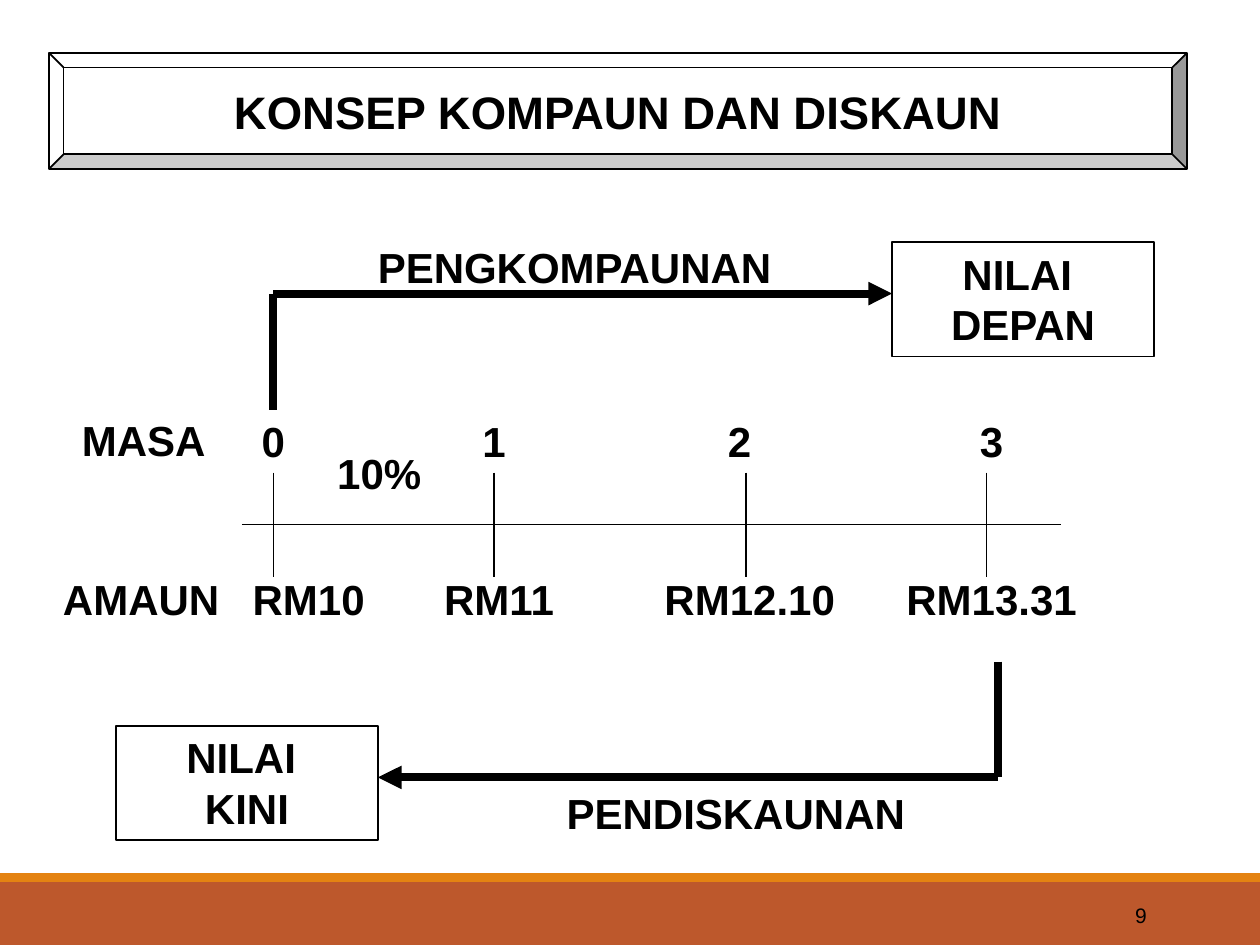
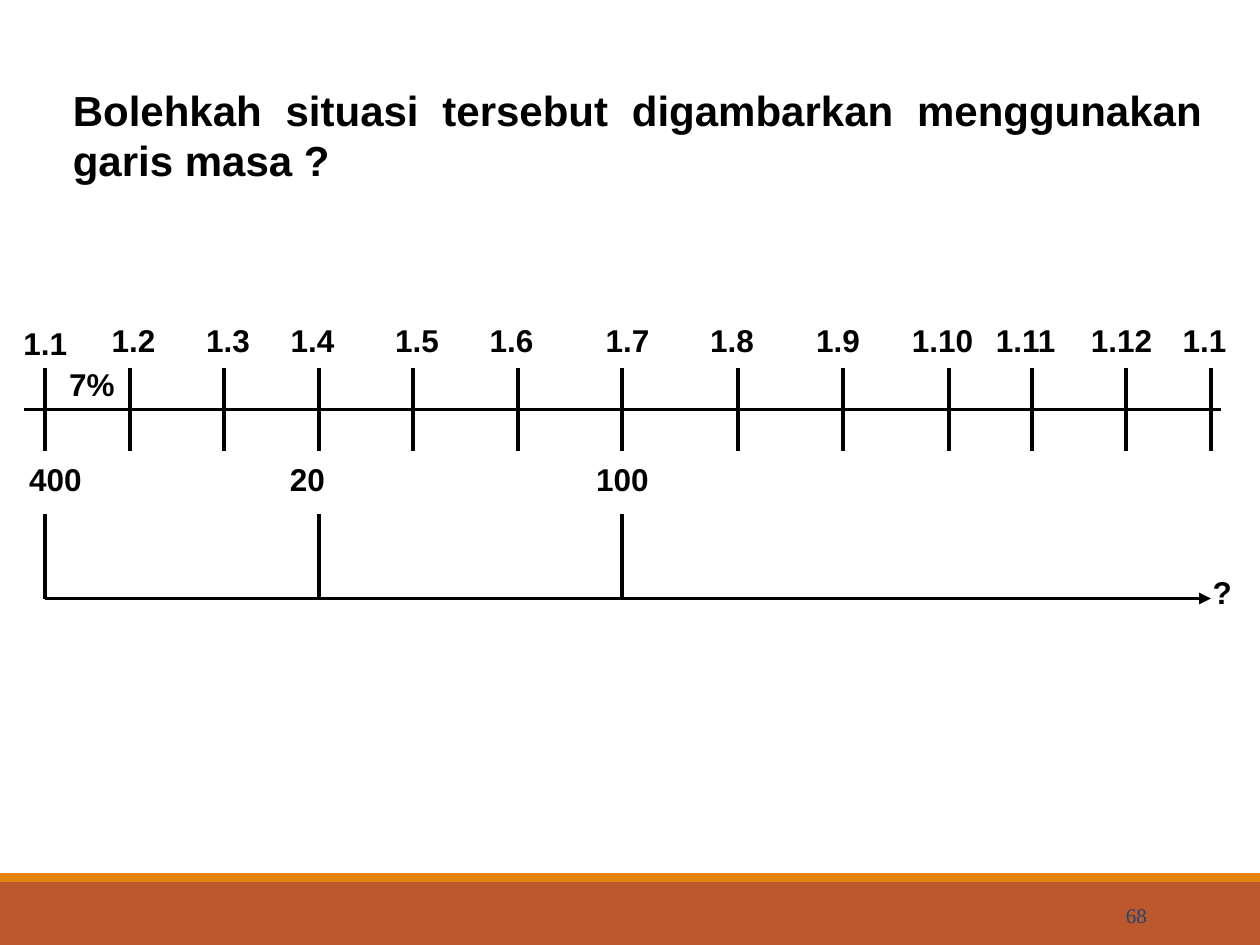
from lxml.etree import SubElement
from pptx import Presentation
from pptx.dml.color import RGBColor
from pptx.enum.shapes import MSO_CONNECTOR, MSO_SHAPE
from pptx.enum.text import MSO_ANCHOR, PP_ALIGN
from pptx.oxml.ns import qn
from pptx.util import Inches, Pt

COLORS = {"ink": "000000", "paper": "FFFFFF", "band": "BD582C",
          "stripe": "E48312", "navy": "1D4577"}
FONT = "Arial"


def rgb(name):
    return RGBColor.from_string(COLORS[name])


def write(shape, text, size, align=PP_ALIGN.CENTER, anchor=MSO_ANCHOR.TOP,
          bold=True, font=FONT, color="ink"):
    tf = shape.text_frame
    tf.text = text
    tf.vertical_anchor = anchor
    for p in tf.paragraphs:
        p.alignment = align
        for r in p.runs:
            r.font.size, r.font.bold, r.font.name = Pt(size), bold, font
            r.font.color.rgb = rgb(color)


def add_box(s, x, y, w, h, fill, outlined=False, kind=MSO_SHAPE.RECTANGLE):
    sp = s.shapes.add_shape(kind, Inches(x), Inches(y), Inches(w), Inches(h))
    sp.shadow.inherit = False
    sp.fill.solid()
    sp.fill.fore_color.rgb = rgb(fill)
    if outlined:
        sp.line.color.rgb = rgb("ink")
        sp.line.width = Pt(1)
    else:
        sp.line.fill.background()
    return sp


def add_text(s, text, x, y, w, h, size, wrap=False, **style):
    sp = s.shapes.add_textbox(Inches(x), Inches(y), Inches(w), Inches(h))
    write(sp, text, size, **style)
    sp.text_frame.word_wrap = wrap


def add_label(s, text, center, y, w, size):
    """One line of text centred on a horizontal position."""
    add_text(s, text, center - w / 2, y, w, size / 60 + 0.1, size)


def add_line(s, x1, y1, x2, y2, width, arrow=False):
    c = s.shapes.add_connector(MSO_CONNECTOR.STRAIGHT, Inches(x1), Inches(y1),
                               Inches(x2), Inches(y2))
    c.line.color.rgb = rgb("ink")
    c.line.width = Pt(width)
    props = c._element.spPr
    if arrow:
        SubElement(props.find(qn("a:ln")), qn("a:tailEnd"), type="triangle")
    SubElement(props, qn("a:effectLst"))


def add_axis(s, x, y, w, h, ticks, width):
    """Horizontal axis through the middle of the box, ticks over its height."""
    add_line(s, x, y + h / 2, x + w, y + h / 2, width)
    for tick in ticks:
        add_line(s, x + tick, y, x + tick, y + h, width)


def add_elbow(s, x, start_y, end_x, y):
    """Thick vertical stroke that turns into a horizontal arrow."""
    add_line(s, x, start_y, x, y, 4.5)
    add_line(s, x, y, end_x, y, 4.5, arrow=True)


def base_slide(prs, number, font=FONT, color="ink"):
    s = prs.slides.add_slide(prs.slide_layouts[6])
    add_box(s, 0, 7, 10, 0.5, "band")
    add_box(s, 0, 6.93, 10, 0.07, "stripe")
    add_text(s, number, 8.12, 7.06, 1.08, 0.4, 12, wrap=True, bold=False,
             align=PP_ALIGN.RIGHT, anchor=MSO_ANCHOR.MIDDLE, font=font, color=color)
    return s


def value_box(s, x, y, text):
    write(add_box(s, x, y, 2.08, 0.91, "paper", outlined=True), text, 24)


def amount_timeline(s, x, y):
    # tick, period, centre of period, amount, centre and width of amount
    periods = [(0.25, "0", 0.25, "RM10", 0.53, 1.1),
               (2, "1", 2, "RM11", 2.04, 1.08),
               (4, "2", 3.95, "RM12.10", 4.03, 1.57),
               (5.91, "3", 5.95, "RM13.31", 5.95, 1.57)]
    add_axis(s, x, y, 6.5, 0.83, [period[0] for period in periods], 0.75)
    add_label(s, "MASA", x - 0.78, y - 0.51, 1.19, 24)
    add_label(s, "AMAUN", x - 0.8, y + 0.75, 1.46, 24)
    add_label(s, "10%", x + 1.09, y - 0.25, 0.88, 24)
    for _, period, period_x, amount, amount_x, w in periods:
        add_label(s, period, x + period_x, y - 0.5, 0.39, 24)
        add_label(s, amount, x + amount_x, y + 0.75, w, 24)


def month_timeline(s, x, y):
    # tick and label centre of the first day of each month
    months = [(0.17, 0.17), (0.84, 0.87), (1.59, 1.62), (2.34, 2.29),
              (3.09, 3.12), (3.92, 3.87), (4.75, 4.79), (5.67, 5.62),
              (6.5, 6.46), (7.34, 7.29), (8, 7.95), (8.75, 8.71), (9.42, 9.37)]
    ticks = [tick for tick, _ in months]
    add_axis(s, x, y, 9.5, 0.66, ticks, 2.25)
    for i, (_, center) in enumerate(months):
        month = f"1.{i % 12 + 1}"
        drop = 0.4 if i == 0 else 0.42
        add_label(s, month, x + center, y - drop, 0.55 if len(month) == 3 else 0.69, 18)
    add_label(s, "7%", x + 0.54, y - 0.07, 0.57, 18)

    # Deposits carried to the end of the year
    base = y + 1.83
    for i, amount, center, w in [(0, "400", 0.25, 0.62), (3, "20", 2.25, 0.48),
                                 (6, "100", 4.75, 0.62)]:
        add_label(s, amount, x + center, y + 0.68, w, 18)
        add_line(s, x + ticks[i], y + 1.16, x + ticks[i], base, 2.25)
    add_line(s, x + ticks[0], base, x + ticks[-1], base, 2.25, arrow=True)
    add_label(s, "?", x + 9.51, y + 1.58, 0.36, 18)


def concept_slide(prs):
    s = base_slide(prs, "9")
    # Title plate
    title = add_box(s, 0.39, 0.42, 9.03, 0.92, "paper", True, MSO_SHAPE.BEVEL)
    write(title, "KONSEP KOMPAUN DAN DISKAUN", 26, anchor=MSO_ANCHOR.MIDDLE)

    amount_timeline(s, 1.92, 3.75)
    # Compounding above, discounting below
    value_box(s, 7.08, 1.92, "NILAI \nDEPAN")
    value_box(s, 0.92, 5.76, "NILAI \nKINI")
    add_elbow(s, 7.92, 5.25, 3, 6.17)
    add_elbow(s, 2.17, 3.25, 7.08, 2.33)
    add_label(s, "PENGKOMPAUNAN", 4.56, 1.87, 3.71, 24)
    add_label(s, "PENDISKAUNAN", 5.84, 6.2, 2.95, 24)


def question_slide(prs):
    s = base_slide(prs, "68", "Times New Roman", "navy")
    add_text(s, "Bolehkah situasi tersebut digambarkan menggunakan garis masa ?",
             0.48, 0.62, 9.16, 0.91, 24, wrap=True, align=PP_ALIGN.JUSTIFY)
    month_timeline(s, 0.19, 2.92)


def main():
    prs = Presentation()
    prs.slide_width, prs.slide_height = Inches(10), Inches(7.5)
    concept_slide(prs)
    question_slide(prs)
    prs.save("out.pptx")


if __name__ == "__main__":
    main()
